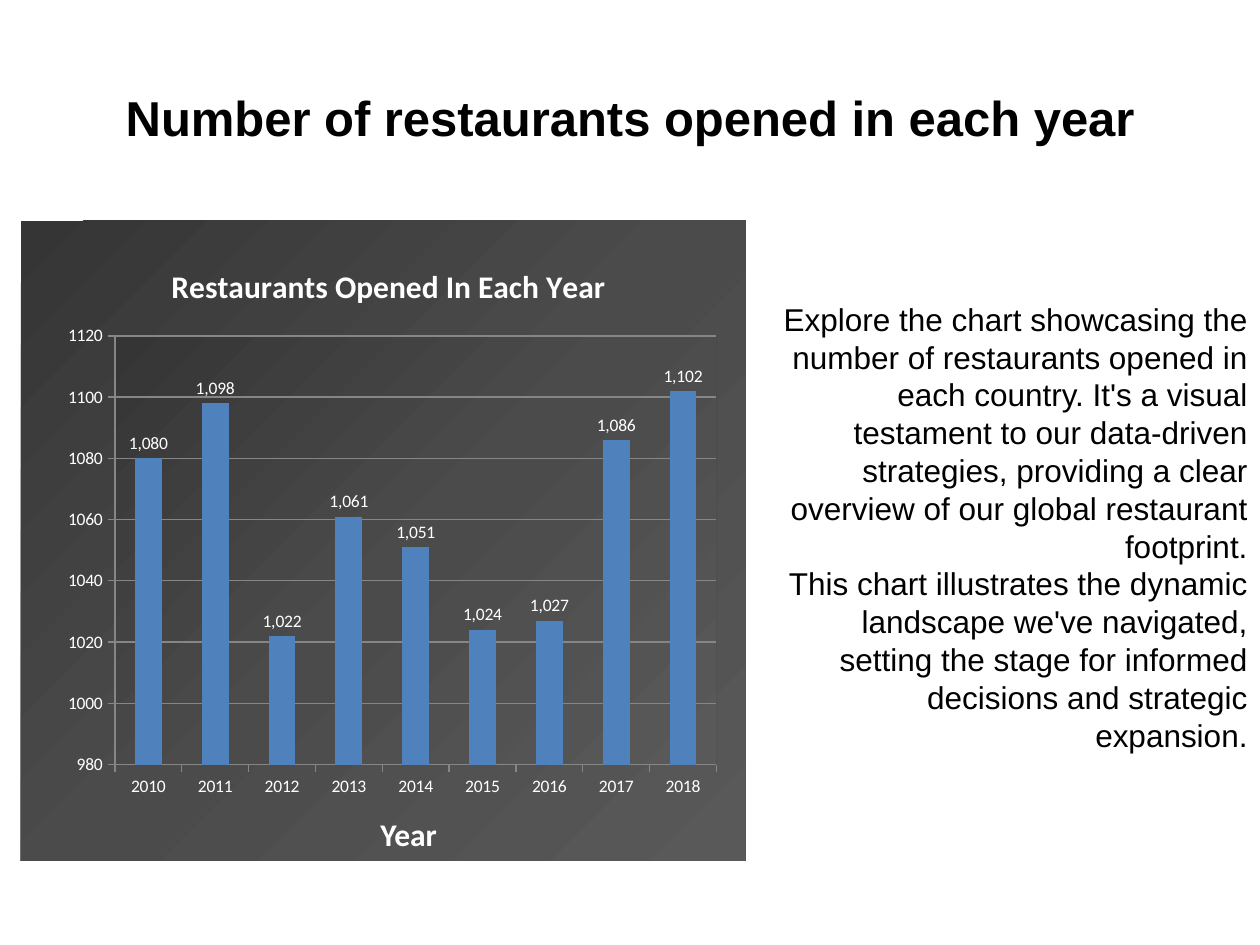
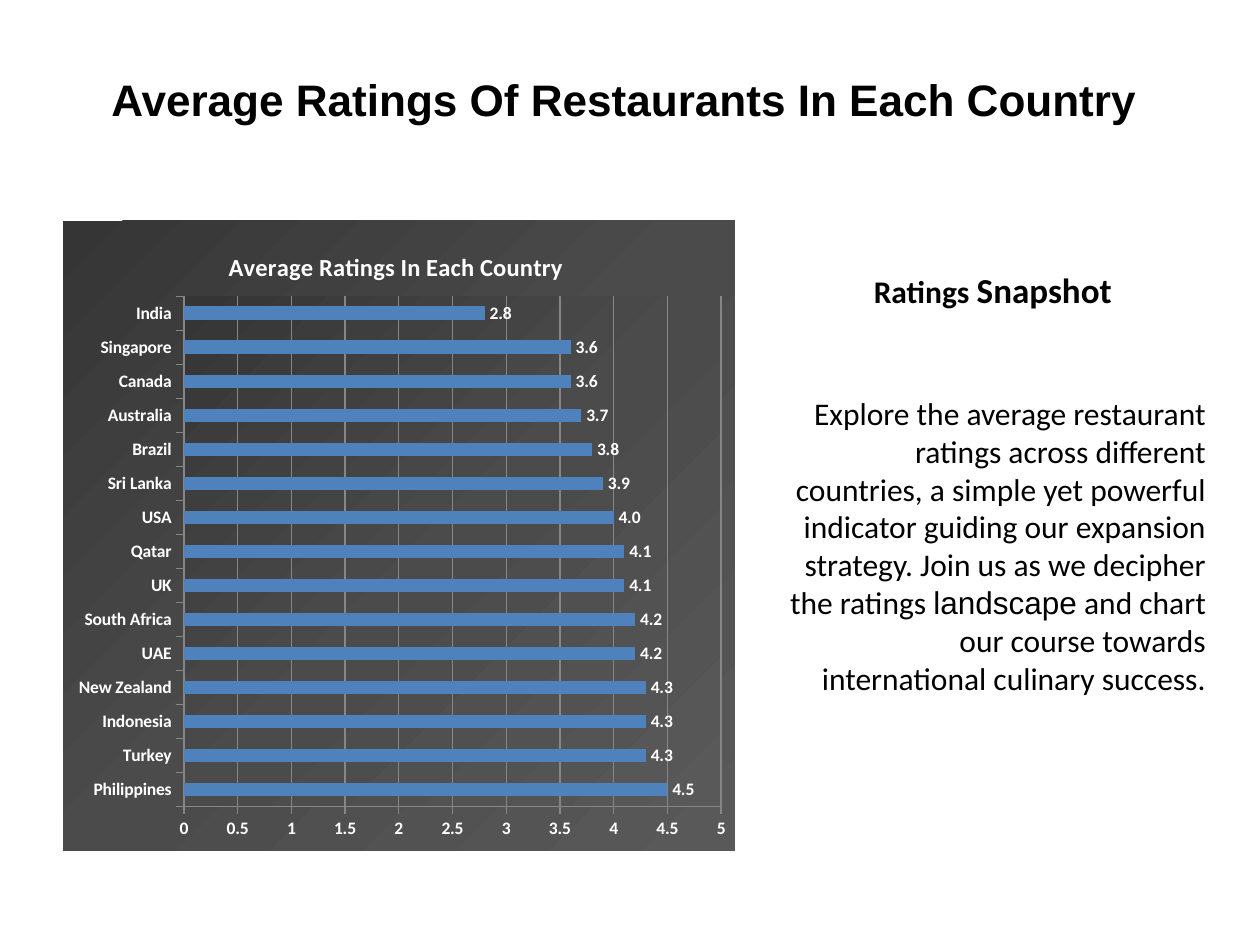
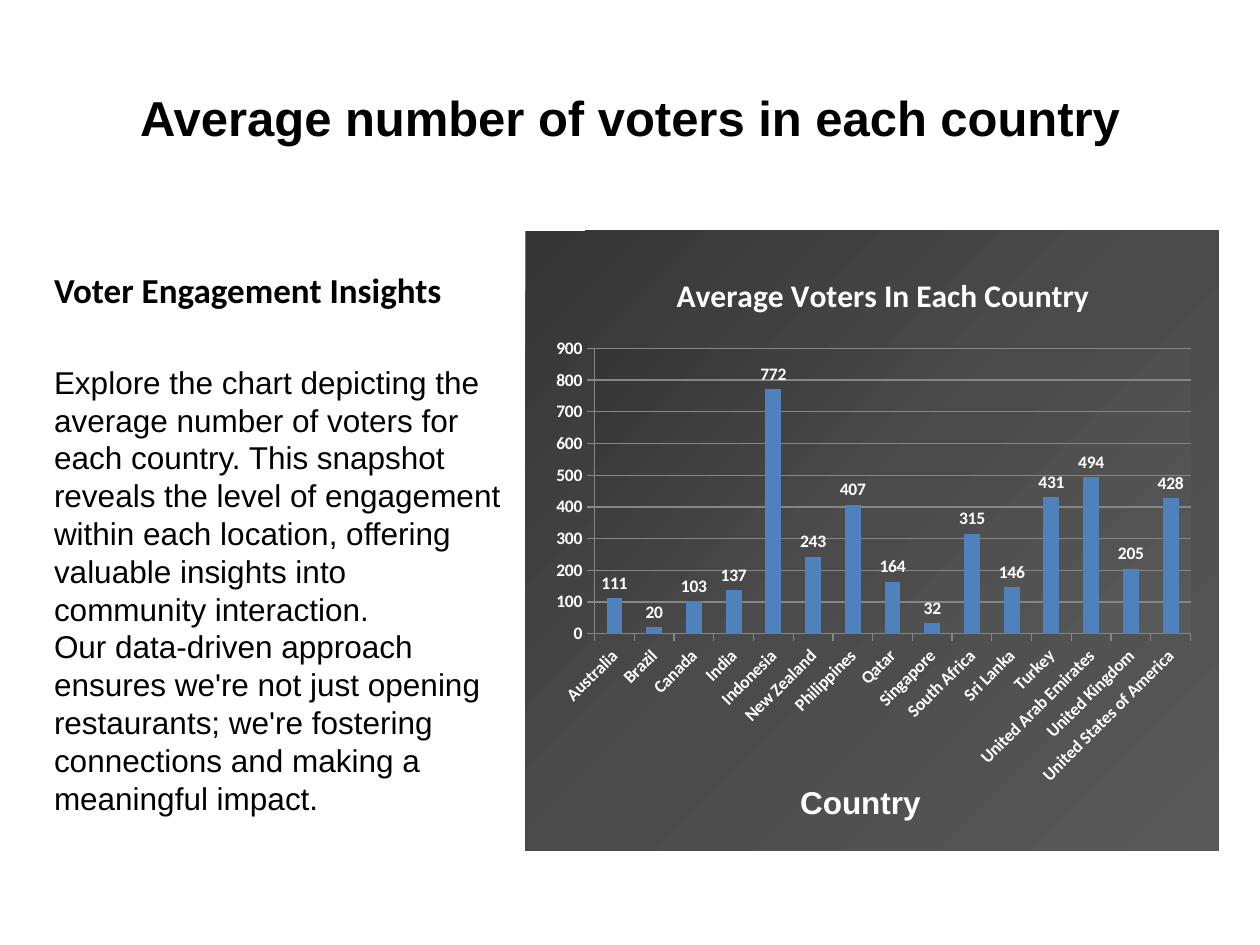
from dataclasses import dataclass
from typing import NamedTuple

from lxml.etree import SubElement
from pptx import Presentation
from pptx.chart.data import CategoryChartData
from pptx.dml.color import RGBColor
from pptx.enum.chart import XL_CHART_TYPE, XL_LABEL_POSITION, XL_TICK_MARK
from pptx.enum.text import MSO_ANCHOR, MSO_AUTO_SIZE, PP_ALIGN
from pptx.oxml import parse_xml
from pptx.oxml.ns import nsdecls, qn
from pptx.util import Cm, Pt


@dataclass(frozen=True)
class Theme:
    ink: RGBColor = RGBColor(0, 0, 0)
    pale: RGBColor = RGBColor(255, 255, 255)
    bar: RGBColor = RGBColor(0x4F, 0x81, 0xBD)
    grid: RGBColor = RGBColor(0x86, 0x86, 0x86)
    panel: tuple = ((0, "353535"), (50, "4B4B4B"), (100, "595959"))
    sans: str = "Arial"
    body: str = "Calibri"
    head: float = 28
    lead: float = 20
    text: float = 18
    tick: float = 10


THEME = Theme()


class Box(NamedTuple):
    """Left, top, width and height in centimetres."""
    x: float
    y: float
    w: float
    h: float

    def cm(self) -> list:
        return [Cm(side) for side in self]


class Run(NamedTuple):
    text: str
    font: str | None = None
    size: float | None = None


class Note(NamedTuple):
    box: Box
    paras: list[list[Run]]
    font: str = THEME.sans
    size: float = THEME.text
    bold: bool = False
    color: RGBColor = THEME.ink
    align: PP_ALIGN = PP_ALIGN.LEFT


class Head(NamedTuple):
    text: str
    size: float = THEME.head
    top: float = 0.76
    right: float = 0.25
    base: float = 0.13


class Plot(NamedTuple):
    """A bar chart; spot and area are fractions of its box."""
    box: Box
    title: str
    size: float
    spot: tuple
    area: tuple
    data: dict
    scale: tuple
    kind: XL_CHART_TYPE = XL_CHART_TYPE.COLUMN_CLUSTERED
    fmt: str = "#,##0"
    bold: bool = True


class Page(NamedTuple):
    head: Head
    plot: Plot
    notes: list[Note]


def style(font, name: str, size: float, bold: bool, color: RGBColor) -> None:
    font.name, font.size, font.bold = name, Pt(size), bold
    font.color.rgb = color


def shade():
    stops = "".join(
        f'<a:gs pos="{pos * 1000}"><a:srgbClr val="{tone}"/></a:gs>'
        for pos, tone in THEME.panel)
    return parse_xml(
        f'<c:spPr {nsdecls("c", "a")}><a:gradFill><a:gsLst>{stops}</a:gsLst>'
        '<a:lin ang="2700000" scaled="0"/></a:gradFill>'
        '<a:ln><a:noFill/></a:ln></c:spPr>')


def place(part, index: int, spot: tuple) -> None:
    """Give a chart part a manual layout, as child number index."""
    old = part.find(qn("c:layout"))
    if old is not None:
        part.remove(old)
    lay = parse_xml(f'<c:layout {nsdecls("c")}><c:manualLayout/></c:layout>')
    marks = [("xMode", "edge"), ("yMode", "edge"), *zip("xywh", spot)]
    if len(spot) == 4:
        marks.insert(0, ("layoutTarget", "inner"))
    for tag, val in marks:
        SubElement(lay[0], qn(f"c:{tag}")).set("val", str(val))
    part.insert(index, lay)


def add_head(slide, head: Head) -> None:
    shape = slide.shapes.title
    shape.left, shape.top, shape.width, shape.height = Box(
        1.27, head.top, 22.86, 3.18).cm()
    frame = shape.text_frame
    frame.text = head.text
    frame.auto_size = MSO_AUTO_SIZE.NONE
    frame.vertical_anchor = MSO_ANCHOR.MIDDLE
    frame.margin_right, frame.margin_bottom = Cm(head.right), Cm(head.base)
    para = frame.paragraphs[0]
    para.alignment = PP_ALIGN.CENTER
    style(para.font, THEME.sans, head.size, True, THEME.ink)


def add_note(slide, note: Note) -> None:
    frame = slide.shapes.add_textbox(*note.box.cm()).text_frame
    frame.word_wrap = True
    frame.auto_size = MSO_AUTO_SIZE.SHAPE_TO_FIT_TEXT
    for i, runs in enumerate(note.paras):
        para = frame.add_paragraph() if i else frame.paragraphs[0]
        para.alignment = note.align
        style(para.font, note.font, note.size, note.bold, note.color)
        for item in runs:
            run = para.add_run()
            run.text = item.text
            if item.font:
                run.font.name = item.font
            if item.size:
                run.font.size = Pt(item.size)


def add_plot(slide, plot: Plot) -> None:
    data = CategoryChartData()
    data.categories = list(plot.data)
    data.add_series("Series 1", list(plot.data.values()))
    chart = slide.shapes.add_chart(plot.kind, *plot.box.cm(), data).chart
    style(chart.font, THEME.body, THEME.tick, False, THEME.pale)
    chart.has_legend = False

    chart.has_title = True
    frame = chart.chart_title.text_frame
    frame.text = plot.title
    style(frame.paragraphs[0].font, THEME.body, plot.size, True, THEME.pale)

    low, high, step = plot.scale
    value = chart.value_axis
    value.minimum_scale, value.maximum_scale = low, high
    value.major_unit = step
    value.has_major_gridlines = True
    value.tick_labels.number_format = "General"
    value.tick_labels.number_format_is_linked = False
    for axis in (chart.category_axis, value):
        axis.major_tick_mark = XL_TICK_MARK.OUTSIDE
        axis.minor_tick_mark = XL_TICK_MARK.NONE
        style(axis.tick_labels.font, THEME.body, THEME.tick, plot.bold,
              THEME.pale)
    for part in (chart.category_axis, value, value.major_gridlines):
        part.format.line.color.rgb = THEME.grid
        part.format.line.width = Pt(0.75)

    bars = chart.plots[0]
    bars.gap_width = 150
    bars.vary_by_categories = False
    fill = bars.series[0].format.fill
    fill.solid()
    fill.fore_color.rgb = THEME.bar
    bars.has_data_labels = True
    labels = bars.data_labels
    labels.show_value = True
    labels.position = XL_LABEL_POSITION.OUTSIDE_END
    labels.number_format, labels.number_format_is_linked = plot.fmt, False
    style(labels.font, THEME.body, THEME.tick, plot.bold, THEME.pale)

    root = chart.element.find(qn("c:chart"))
    root.addnext(shade())
    area = root.find(qn("c:plotArea"))
    area.append(shade())
    place(area, 0, plot.area)
    place(root.find(qn("c:title")), 1, plot.spot)


OPENED = {
    "2010": 1080, "2011": 1098, "2012": 1022, "2013": 1061, "2014": 1051,
    "2015": 1024, "2016": 1027, "2017": 1086, "2018": 1102,
}
RATINGS = {
    "Philippines": 4.5, "Turkey": 4.3, "Indonesia": 4.3, "New Zealand": 4.3,
    "UAE": 4.2, "South Africa": 4.2, "UK": 4.1, "Qatar": 4.1, "USA": 4.0,
    "Sri Lanka": 3.9, "Brazil": 3.8, "Australia": 3.7, "Canada": 3.6,
    "Singapore": 3.6, "India": 2.8,
}
VOTERS = {
    "Australia": 111, "Brazil": 20, "Canada": 103, "India": 137,
    "Indonesia": 772, "New Zealand": 243, "Philippines": 407, "Qatar": 164,
    "Singapore": 32, "South Africa": 315, "Sri Lanka": 146, "Turkey": 431,
    "United Arab Emirates": 494, "United Kingdom": 205,
    "United States of America": 428,
}

PAGES = [
    Page(
        Head("Number of restaurants opened in each year"),
        Plot(Box(0.42, 4.45, 14.61, 12.9), "Restaurants Opened In Each Year",
             18, (0.2, 0.06), (0.13, 0.18, 0.83, 0.67), OPENED,
             (980, 1120, 20), bold=False),
        [
            Note(Box(7.42, 16.31, 1.91, 1.07), [[Run("Year")]], THEME.body,
                 bold=True, color=THEME.pale),
            Note(Box(15.24, 5.92, 10.16, 9.5), [
                [Run("Explore the chart showcasing the number of restaurants "
                     "opened in each country. It's a visual testament to our "
                     "data-driven strategies, providing a clear overview of "
                     "our global restaurant footprint.")],
                [Run("This chart illustrates the dynamic landscape we've "
                     "navigated, setting the stage for informed decisions "
                     "and strategic expansion.")],
            ], align=PP_ALIGN.RIGHT),
        ]),
    Page(
        Head("Average Ratings Of Restaurants In Each Country", 25.2, 1.07,
             0.5, 1.45),
        Plot(Box(1.27, 4.45, 13.54, 12.7), "Average Ratings In Each Country",
             14, (0.24, 0.04), (0.18, 0.12, 0.8, 0.81), RATINGS,
             (0, 5, 0.5), XL_CHART_TYPE.BAR_CLUSTERED, "#,##0.0"),
        [
            Note(Box(15.67, 5.28, 8.69, 1.12),
                 [[Run("Ratings "), Run("Snapshot", size=THEME.lead)]],
                 THEME.body, bold=True, align=PP_ALIGN.CENTER),
            Note(Box(15.67, 7.82, 8.89, 6.4), [[
                Run("Explore the average restaurant ratings across different "
                    "countries, a simple yet powerful indicator guiding our "
                    "expansion strategy. Join us as we decipher the ratings "),
                Run("landscape", THEME.sans),
                Run(" and chart our course towards international culinary "
                    "success."),
            ]], THEME.body, align=PP_ALIGN.RIGHT),
        ]),
    Page(
        Head("Average number of voters in each country"),
        Plot(Box(10.59, 4.65, 13.97, 12.5), "Average Voters In Each Country",
             18, (0.21, 0.06), (0.1, 0.19, 0.86, 0.46), VOTERS,
             (0, 900, 100)),
        [
            Note(Box(15.88, 15.67, 2.97, 1.02), [[Run("Country")]],
                 bold=True, color=THEME.pale),
            Note(Box(0.84, 7.19, 9.53, 9.5), [
                [Run("Explore the chart depicting the average number of "
                     "voters for each country. This snapshot reveals the "
                     "level of engagement within each location, offering "
                     "valuable insights into community interaction.")],
                [Run("Our data-driven approach ensures we're not just opening "
                     "restaurants; we're fostering connections and making a "
                     "meaningful impact.")],
            ]),
            Note(Box(0.84, 5.28, 9.53, 1.12),
                 [[Run("Voter Engagement Insights")]], THEME.body,
                 THEME.lead, True),
        ]),
]


def main() -> None:
    deck = Presentation()
    deck.slide_width, deck.slide_height = Cm(25.4), Cm(19.05)
    for page in PAGES:
        slide = deck.slides.add_slide(deck.slide_layouts[5])
        add_head(slide, page.head)
        add_plot(slide, page.plot)
        for note in page.notes:
            add_note(slide, note)
    deck.save("out.pptx")


if __name__ == "__main__":
    main()
